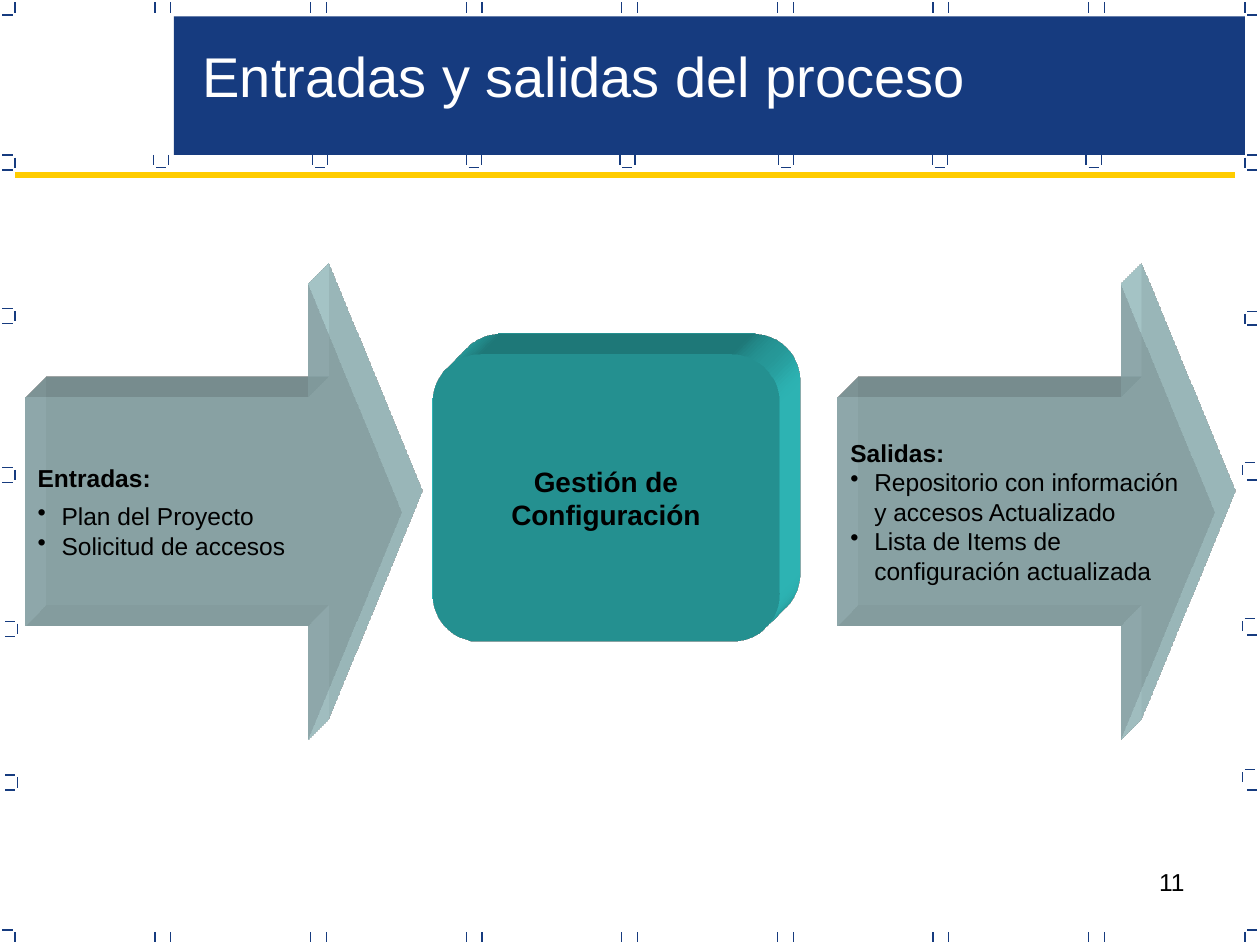
from lxml import etree
from pptx import Presentation
from pptx.dml.color import RGBColor
from pptx.enum.shapes import MSO_CONNECTOR, MSO_SHAPE
from pptx.enum.text import MSO_ANCHOR, PP_ALIGN
from pptx.oxml import parse_xml
from pptx.oxml.ns import qn
from pptx.util import Cm, Pt

STRAIGHT = MSO_CONNECTOR.STRAIGHT
RECT, ARROW, ROUND = MSO_SHAPE.RECTANGLE, MSO_SHAPE.RIGHT_ARROW, MSO_SHAPE.ROUNDED_RECTANGLE
MIDDLE = MSO_ANCHOR.MIDDLE
LEFT, CENTER, RIGHT = PP_ALIGN.LEFT, PP_ALIGN.CENTER, PP_ALIGN.RIGHT
COLORS = {"navy": "163B7F", "gold": "FFCC00", "pale": "BBE0E3", "teal": "33CCCC",
          "black": "000000", "white": "FFFFFF"}
NS = "http://schemas.openxmlformats.org/drawingml/2006/main"
TICK, GAP = 0.08, 0.02
BODY = {"size": Pt(14), "bold": False, "name": "Arial"}
HEADING = {**BODY, "bold": True}
CORE = {**HEADING, "size": Pt(16)}
TITLE = {**BODY, "size": Pt(32)}


def inch(value):
    return Cm(value * 2.54)


def rgb(name):
    return RGBColor.from_string(COLORS[name])


def add_line(s, x1, y1, x2, y2, color="navy", width=0.75):
    line = s.shapes.add_connector(STRAIGHT, *map(inch, (x1, y1, x2, y2)))
    line.line.color.rgb = rgb(color)
    line.line.width = Pt(width)
    etree.SubElement(line._element.spPr, qn("a:effectLst"))


def add_ticks(s, points, vertical):
    for x, y in points:
        add_line(s, x, y, x + (0 if vertical else TICK), y + (TICK if vertical else 0))


def add_block(s, kind, box, color):
    sp = s.shapes.add_shape(kind, *map(inch, box))
    sp.shadow.inherit = False
    sp.fill.solid()
    sp.fill.fore_color.rgb = rgb(color)
    sp.line.fill.background()
    return sp


def extrude(sp, color):
    spPr = sp._element.spPr
    spPr.append(parse_xml(
        f'<a:scene3d xmlns:a="{NS}"><a:camera prst="legacyObliqueTopRight"/>'
        '<a:lightRig rig="legacyFlat3" dir="b"/></a:scene3d>'))
    spPr.append(parse_xml(
        f'<a:sp3d xmlns:a="{NS}" extrusionH="430200" prstMaterial="legacyMatte">'
        '<a:bevelT w="13500" h="13500" prst="angle"/><a:bevelB w="13500" h="13500" prst="angle"/>'
        f'<a:extrusionClr><a:srgbClr val="{COLORS[color]}"/></a:extrusionClr></a:sp3d>'))


def write(p, lines, fmt, color="black", align=LEFT):
    p.alignment = align
    for i, text in enumerate(lines):
        if i:
            p.add_line_break()
        r = p.add_run()
        r.text = text
        for key, value in fmt.items():
            setattr(r.font, key, value)
        r.font.color.rgb = rgb(color)


def hang(p, bullet):
    pPr = p._p.get_or_add_pPr()
    indent = inch(0.19)
    pPr.set("marL", str(indent))
    pPr.set("indent", str(-indent))
    if bullet:
        etree.SubElement(pPr, qn("a:buChar")).set("char", "•")


def add_label(s, box, text, fmt, color="black", align=LEFT):
    tf = s.shapes.add_textbox(*map(inch, box)).text_frame
    tf.word_wrap = True
    write(tf.paragraphs[0], [text], fmt, color, align)


def draw_frame(s, box):
    left, top, width, height = box
    right, bottom = left + width, top + height
    edge = left + TICK + GAP
    far = right - TICK - GAP
    low = bottom - TICK
    columns = [1.23 + 1.235 * i for i in range(7)]
    pairs = [x + d for x in columns for d in (0, 0.125)]
    add_ticks(s, [(x, y) for x in [edge, *pairs, far] for y in (top, low)], True)
    add_ticks(s, [(x, y) for x in (left, far + GAP) for y in (top + 0.1, low - GAP)], False)

    left_cups = [(left, 1.23), (left, 2.45), (left, 3.71), (left + GAP, 4.93), (left + GAP, 6.15)]
    add_ticks(s, [(x + 0.1, y + GAP) for x, y in left_cups], True)
    add_ticks(s, [(x, y + d) for x, y in left_cups for d in (0, 0.12)], False)

    right_cups = [(far, 1.23), (far, 2.47), (far - GAP, 3.67), (far - GAP, 4.91), (far - GAP, 6.11)]
    add_ticks(s, [(x, y + GAP) for x, y in right_cups], True)
    add_ticks(s, [(x + GAP, y) for x, y in right_cups], False)
    add_ticks(s, [(far + GAP, 1.35 + 1.23 * i) for i in range(5)], False)

    band_cups = [1.22, 2.48, 3.7, 4.92, 6.18, 7.4, 8.62]
    add_ticks(s, [(x + d, 1.23) for x in band_cups for d in (0, 0.12)], True)
    add_ticks(s, [(x + GAP, 1.33) for x in band_cups], False)


def draw_header(s, box, title):
    left, top, width, height = box
    add_block(s, RECT, box, "navy")
    add_label(s, (left + 0.13, top + 0.15, 6.8, 0.63), title, TITLE, "white")
    add_line(s, 0.12, top + height + 0.16, left + width - 0.08, top + height + 0.16, "gold", 3)


def draw_arrow(s, box, heading, items, wrap, space):
    sp = add_block(s, ARROW, box, "pale")
    sp.adjustments[0], sp.adjustments[1] = 0.5, 0.25
    alpha = etree.SubElement(sp._element.spPr.find(".//" + qn("a:srgbClr")), qn("a:alpha"))
    alpha.set("val", "80000")
    extrude(sp, "pale")
    tf = sp.text_frame
    tf.word_wrap = wrap
    tf.vertical_anchor = MIDDLE
    p = tf.paragraphs[0]
    write(p, [heading], HEADING)
    p.space_after = Pt(space)
    hang(p, False)
    for lines in items:
        p = tf.add_paragraph()
        write(p, lines, BODY)
        hang(p, True)


def draw_process(s, box, text):
    sp = add_block(s, ROUND, box, "teal")
    sp.adjustments[0] = 0.167
    extrude(sp, "teal")
    tf = sp.text_frame
    tf.word_wrap = True
    tf.vertical_anchor = MIDDLE
    write(tf.paragraphs[0], [text], CORE, align=CENTER)


prs = Presentation()
prs.slide_width, prs.slide_height = Cm(25.4), Cm(19.05)
s = prs.slides.add_slide(prs.slide_layouts[6])
add_label(s, (7.17, 6.83, 2.33, 0.52), "11", BODY, align=RIGHT)
draw_frame(s, (0.02, 0.02, 9.96, 7.46))
draw_header(s, (1.38, 0.13, 8.5, 1.1), "Entradas y salidas del proceso")
draw_arrow(s, (0.2, 2.25, 2.99, 3.62), "Entradas:",
           [["Plan del Proyecto"], ["Solicitud de accesos"]], True, 5)
draw_process(s, (3.43, 2.81, 2.76, 2.28), "Gestión de Configuración")
draw_arrow(s, (6.65, 2.25, 2.99, 3.62), "Salidas:",
           [["Repositorio con información ", "y accesos Actualizado"],
            ["Lista de Items de ", "configuración actualizada"]], False, 0)
prs.save("out.pptx")
